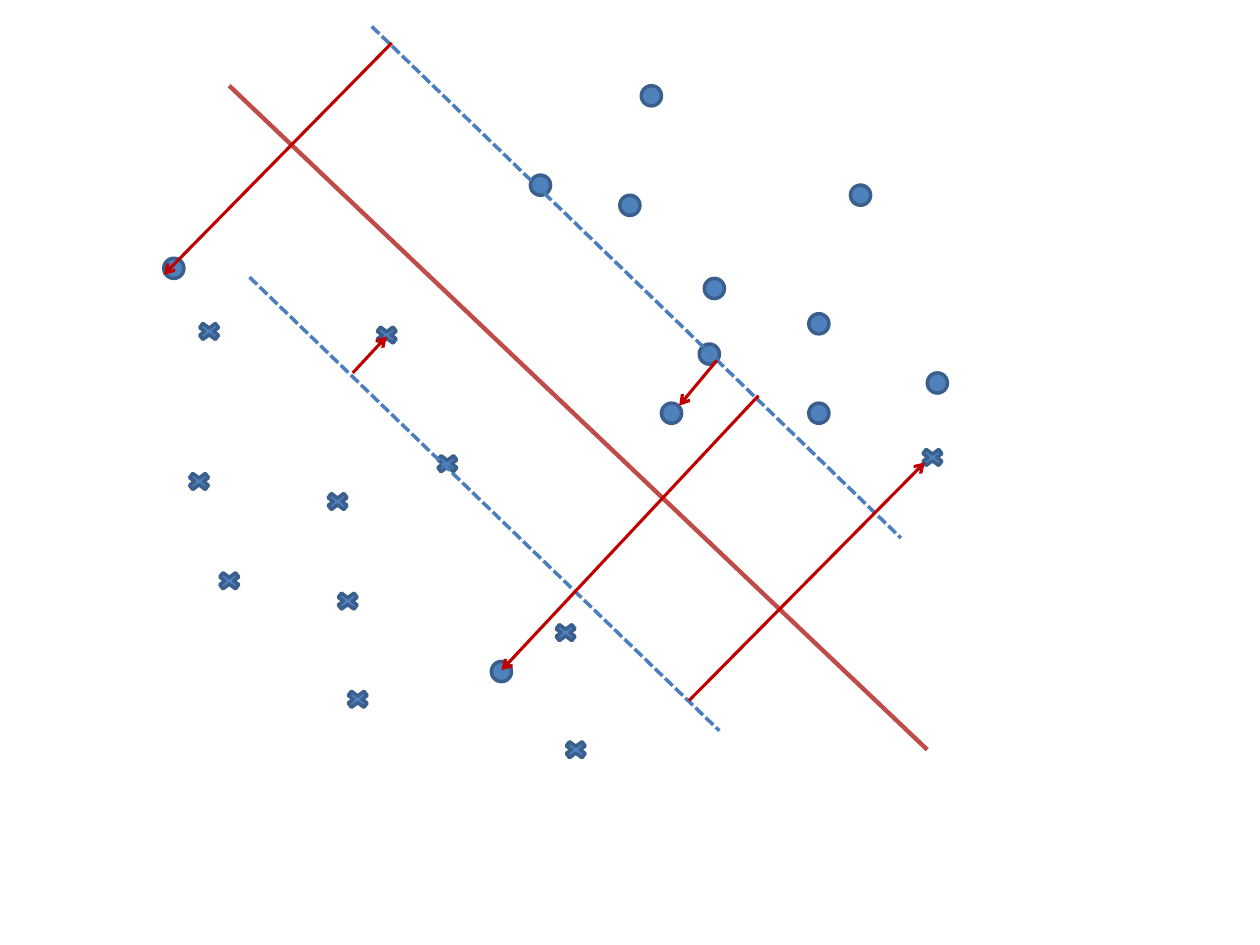
from pptx import Presentation
from pptx.dml.color import RGBColor
from pptx.enum.dml import MSO_LINE
from pptx.enum.shapes import MSO_CONNECTOR, MSO_SHAPE
from pptx.oxml.ns import qn
from pptx.util import Pt
from lxml.etree import SubElement

# Left and top of each data point, in points
CIRCLES = [
    (354.2, 111.6), (366.5, 49), (378, 230.4), (93.6, 147.6),
    (402.5, 159.1), (280.8, 378), (303.1, 100.1), (399.6, 196.6),
    (462.2, 230.4), (462.2, 179.3), (529.9, 213.1), (486, 105.8),
]
CROSSES = [
    (110.9, 182.9), (122.4, 325.4), (320.4, 421.9), (184.3, 280.1),
    (105.1, 268.6), (195.8, 393.1), (524.2, 254.9), (212.4, 185),
    (247, 258.5), (190.1, 337), (314.6, 355),
]
CIRCLE_SIZE = (11.5, 11.5)
CROSS_SIZE = (17.3, 13)

# Start x, start y, end x, end y
BOUNDARY = (131, 49, 529.9, 428.4)
MARGINS = [(142.6, 158.4, 411.1, 417.6), (212.4, 15.1, 514.8, 307.4)]
SLACK_ARROWS = [
    (409.7, 205.9, 388.1, 231.8),
    (223.9, 24.5, 93.6, 157),
    (433.4, 226.1, 286.6, 383),
    (393.8, 400.3, 528.5, 264.2),
    (201.6, 213.1, 221, 192.2),
]


def color(value):
    return RGBColor.from_string(value)


def add_markers(slide, kind, positions, size):
    width, height = map(Pt, size)
    for left, top in positions:
        marker = slide.shapes.add_shape(kind, Pt(left), Pt(top), width, height)
        marker.shadow.inherit = False
        marker.fill.solid()
        marker.fill.fore_color.rgb = color("4F81BD")
        marker.line.color.rgb = color("3A5F8C")
        marker.line.width = Pt(2)


def add_line(slide, ends, stroke, width, dash=None, arrow=False):
    line = slide.shapes.add_connector(MSO_CONNECTOR.STRAIGHT, *map(Pt, ends))
    line.line.color.rgb = color(stroke)
    line.line.width = Pt(width)
    if dash:
        line.line.dash_style = dash
    if arrow:
        SubElement(line.line._get_or_add_ln(), qn("a:tailEnd"), type="arrow")
    SubElement(line._element.spPr, qn("a:effectLst"))


def main():
    deck = Presentation()
    deck.slide_width, deck.slide_height = Pt(720), Pt(540)
    slide = deck.slides.add_slide(deck.slide_layouts[6])

    add_markers(slide, MSO_SHAPE.FLOWCHART_CONNECTOR, CIRCLES, CIRCLE_SIZE)
    add_line(slide, BOUNDARY, "BF4C48", 2.5)
    add_markers(slide, MSO_SHAPE.MATH_MULTIPLY, CROSSES, CROSS_SIZE)
    for ends in MARGINS:
        add_line(slide, ends, "4B7EBC", 2, dash=MSO_LINE.SQUARE_DOT)
    for ends in SLACK_ARROWS:
        add_line(slide, ends, "C00000", 1.75, arrow=True)

    deck.save("out.pptx")


if __name__ == "__main__":
    main()
